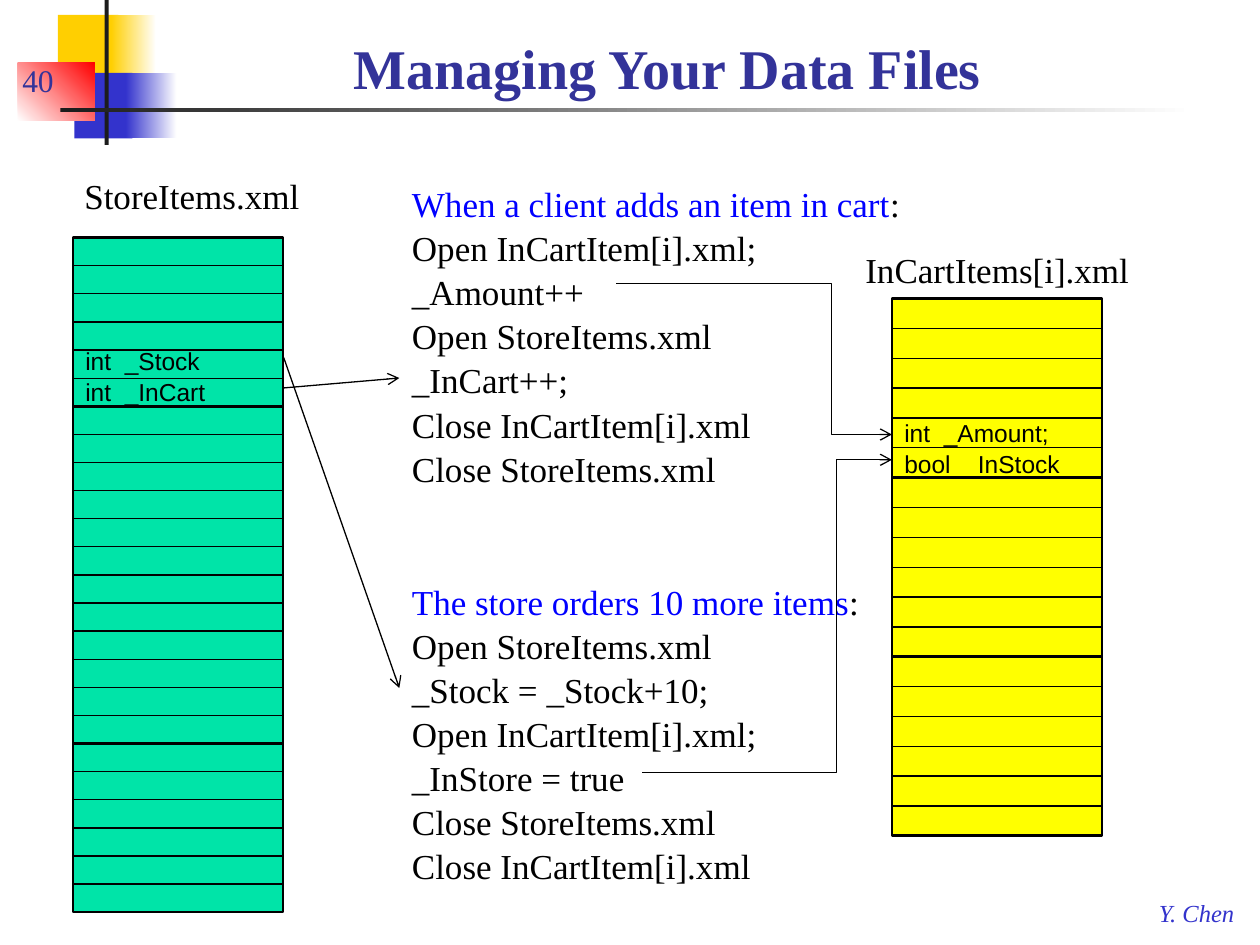
"""Build the slide on managing data files."""
from dataclasses import dataclass

from lxml.etree import SubElement
from pptx import Presentation
from pptx.dml.color import RGBColor as Rgb
from pptx.enum.shapes import MSO_CONNECTOR as Link, MSO_SHAPE as Kind
from pptx.enum.text import MSO_ANCHOR as Anchor, MSO_AUTO_SIZE as Fit, PP_ALIGN as Align
from pptx.oxml.ns import qn
from pptx.util import Cm, Pt


@dataclass(frozen=True)
class Theme:
    serif: str = "Times New Roman"
    sans: str = "Arial"
    ink: str = "000000"
    white: str = "FFFFFF"
    dark: str = "1C1C1C"
    navy: str = "333399"
    blue: str = "3333CC"
    lead: str = "0000FF"
    gold: str = "FFCF01"
    red: str = "FF0000"
    green: str = "00E4A8"
    yellow: str = "FFFF00"
    title: int = 32
    text: int = 20
    page: int = 18
    note: int = 14
    thick: float = 1.5
    thin: float = 0.75


T = Theme()


def style(run, size, color, face=T.serif, bold=False, slant=False):
    font = run.font
    font.size, font.name, font.bold, font.italic = Pt(size), face, bold, slant
    font.color.rgb = Rgb.from_string(color)


def place(shape, box):
    shape.left, shape.top, shape.width, shape.height = map(Cm, box)


def stroke(shape, width, arrow=False):
    shape.line.color.rgb = Rgb.from_string(T.ink)
    shape.line.width = Pt(width)
    if arrow:
        SubElement(shape._element.spPr.find(qn("a:ln")), qn("a:tailEnd"), type="arrow")


def block(slide, box, *colors, angle=0):
    shape = slide.shapes.add_shape(Kind.RECTANGLE, *map(Cm, box))
    shape.shadow.inherit = False
    shape.line.fill.background()
    if len(colors) == 1:
        shape.fill.solid()
        shape.fill.fore_color.rgb = Rgb.from_string(colors[0])
    else:
        shape.fill.gradient()
        shape.fill.gradient_angle = angle
        for stop, color in zip(shape.fill.gradient_stops, colors):
            stop.color.rgb = Rgb.from_string(color)
    return shape


def line(slide, start, end, arrow=False):
    link = slide.shapes.add_connector(Link.STRAIGHT, *map(Cm, start + end))
    stroke(link, T.thin, arrow)
    SubElement(link._element.spPr, qn("a:effectLst"))


def elbow(slide, start, bend, end):
    points = [(bend, start[1]), (bend, end[1]), end]
    maker = slide.shapes.build_freeform(*map(Cm, start))
    maker.add_line_segments([(Cm(x), Cm(y)) for x, y in points], close=False)
    shape = maker.convert_to_shape()
    shape.shadow.inherit = False
    shape.fill.background()
    stroke(shape, T.thin, arrow=True)


def stack(slide, left, top, width, height, count, color, rows=6):
    for part in range(count):
        head = top + part * height
        stroke(block(slide, (left, head, width, height), color), T.thick)
        for row in range(1, rows):
            y = head + row * height / rows
            line(slide, (left, y), (left + width, y))


def label(slide, box, text, size, color=T.ink, face=T.serif, wrap=False,
          slant=False, align=Align.LEFT, anchor=Anchor.TOP, space=1.0):
    frame = slide.shapes.add_textbox(*map(Cm, box)).text_frame
    frame.word_wrap, frame.vertical_anchor = wrap, anchor
    frame.text = text
    for para in frame.paragraphs:
        para.alignment, para.line_spacing = align, space
        style(para.runs[0], size, color, face, slant=slant)


def steps(shape, box, lead, items):
    place(shape, box)
    frame = shape.text_frame
    frame.text = "\n".join([lead] + items)
    frame.auto_size, frame.word_wrap = Fit.NONE, False
    frame.paragraphs[0].add_run().text = ":"
    for para in frame.paragraphs:
        para.space_before, para.line_spacing = Pt(0), 1.05
        props = para._p.get_or_add_pPr()
        props.set("marL", "0")
        props.set("indent", "0")
        SubElement(props, qn("a:buNone"))
        for run in para.runs:
            style(run, T.text, T.lead if run.text == lead else T.ink)


def heading(shape, box, text):
    place(shape, box)
    frame = shape.text_frame
    frame.text = text
    frame.auto_size, frame.vertical_anchor = Fit.NONE, Anchor.BOTTOM
    frame.paragraphs[0].alignment = Align.LEFT
    style(frame.paragraphs[0].runs[0], T.title, T.navy, bold=True)


def decor(slide):
    block(slide, (1.17, 0.3, 1.22, 1.32), T.gold)
    block(slide, (2.24, 0.3, 0.91, 1.32), T.gold, T.white)
    block(slide, (1.5, 1.47, 1.17, 1.32), T.blue)
    block(slide, (2.54, 1.47, 1.02, 1.32), T.blue, T.white)
    block(slide, (0.36, 1.27, 1.55, 1.17), T.white, T.red, angle=45)
    block(slide, (2.11, 0, 0.08, 2.92), T.dark)
    block(slide, (1.22, 2.18, 22.86, 0.08), T.dark, T.white)
    label(slide, (23.11, 17.98, 2.08, 0.84), "Y. Chen", T.note, T.blue, slant=True)
    label(slide, (0.2, 0.84, 1.9, 1.27), "40", T.page, T.navy, wrap=True,
          anchor=Anchor.BOTTOM)


def main():
    deck = Presentation()
    deck.slide_width, deck.slide_height = Cm(25.4), Cm(19.05)
    slide = deck.slides.add_slide(deck.slide_layouts[3])
    title, first, second = slide.placeholders
    decor(slide)
    heading(title, (6.88, 0.43, 18.31, 1.73), "Managing Your Data Files")

    label(slide, (1.45, 3.4, 5.05, 1.12), "StoreItems.xml", T.text)
    stack(slide, 1.47, 4.79, 4.24, 3.4, 4, T.green)
    label(slide, (1.47, 6.83, 4.24, 1.55), "int  _Stock\nint  _InCart",
          T.note, face=T.sans, wrap=True, space=1.05)

    label(slide, (17.17, 4.88, 5.87, 1.12), "InCartItems[i].xml", T.text,
          align=Align.CENTER)
    stack(slide, 17.98, 6.02, 4.24, 3.61, 3, T.yellow)
    label(slide, (17.98, 8.28, 4.24, 1.45), "int  _Amount;\nbool  _InStock",
          T.note, face=T.sans, wrap=True, space=1.05)

    steps(first, (8.05, 3.51, 10.41, 6.25), "When a client adds an item in cart",
          ["Open InCartItem[i].xml;", "_Amount++", "Open StoreItems.xml",
           "_InCart++;", "Close InCartItem[i].xml", "Close StoreItems.xml"])
    steps(second, (8.05, 11.53, 9.58, 6.25), "The store orders 10 more items",
          ["Open StoreItems.xml", "_Stock = _Stock+10;", "Open InCartItem[i].xml;",
           "_InStore = true", "Close StoreItems.xml", "Close InCartItem[i].xml"])

    line(slide, (5.72, 7.82), (8.05, 7.62), arrow=True)
    line(slide, (5.72, 7.21), (8.05, 13.87), arrow=True)
    elbow(slide, (12.95, 15.57), 16.87, (17.98, 9.27))
    elbow(slide, (12.42, 5.72), 16.76, (17.98, 8.76))
    deck.save("out.pptx")


main()
